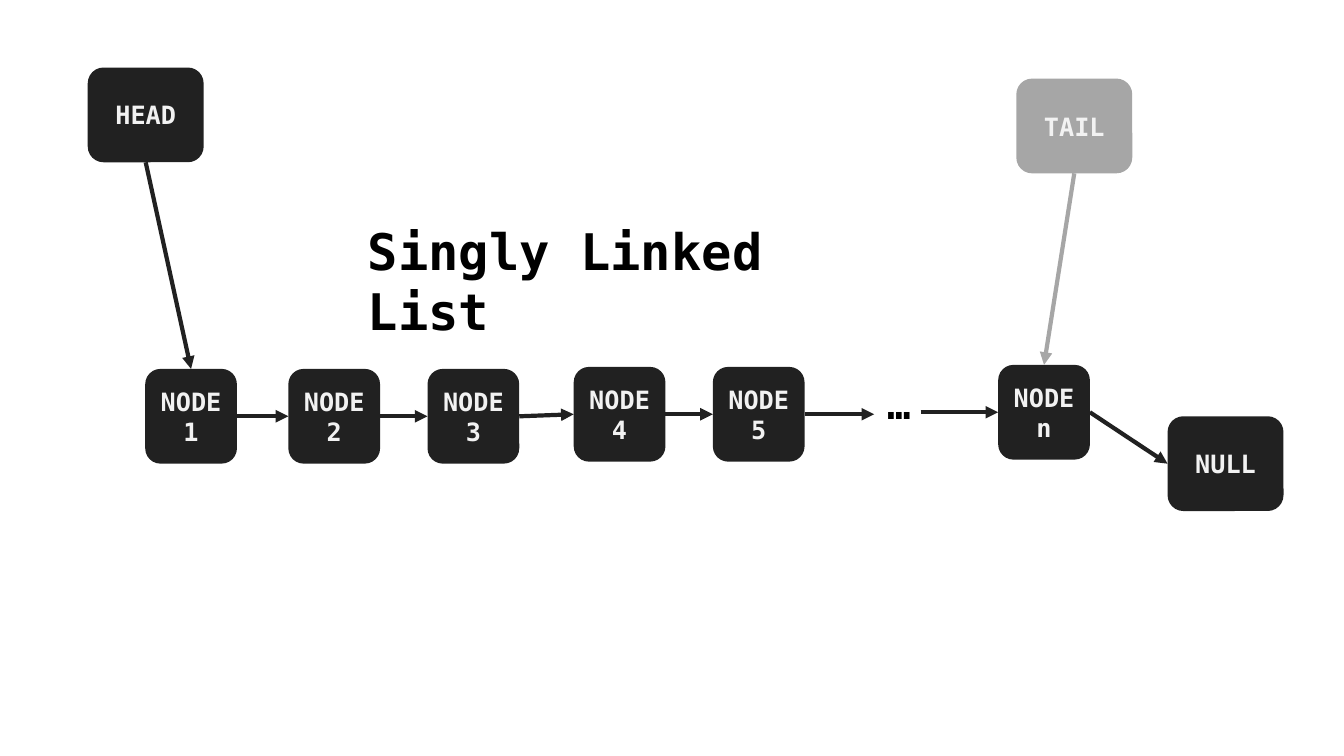
from dataclasses import dataclass

from lxml.etree import SubElement
from pptx import Presentation
from pptx.dml.color import RGBColor
from pptx.enum.shapes import MSO_CONNECTOR, MSO_SHAPE
from pptx.enum.text import MSO_ANCHOR, PP_ALIGN
from pptx.oxml.ns import qn
from pptx.util import Inches, Pt


@dataclass(frozen=True)
class Theme:
    font: str = "DejaVu Sans Mono"
    dark: RGBColor = RGBColor(0x21, 0x21, 0x21)
    muted: RGBColor = RGBColor(0xA6, 0xA6, 0xA6)
    light: RGBColor = RGBColor(0xF2, 0xF2, 0xF2)
    black: RGBColor = RGBColor(0, 0, 0)
    label_size: Pt = Pt(18)
    ellipsis_size: Pt = Pt(28)
    title_size: Pt = Pt(36)
    arrow_width: Pt = Pt(3)


THEME = Theme()
BOX_HEIGHT = 0.94
NODE_WIDTH = 0.91
POINTER_WIDTH = 1.15
TOP, LEFT, BOTTOM, RIGHT = range(4)  # connection sites


def write(frame, text, size, color, align, anchor):
    frame.word_wrap = True
    frame.vertical_anchor = anchor
    paragraph = frame.paragraphs[0]
    paragraph.text = text
    paragraph.alignment = align
    font = paragraph.font
    font.name, font.size, font.bold = THEME.font, size, True
    font.color.rgb = color


def add_box(slide, label, left, top, width, fill=THEME.dark):
    box = slide.shapes.add_shape(
        MSO_SHAPE.ROUNDED_RECTANGLE,
        Inches(left), Inches(top), Inches(width), Inches(BOX_HEIGHT))
    box.shadow.inherit = False
    box.fill.solid()
    box.fill.fore_color.rgb = fill
    box.line.fill.background()
    write(box.text_frame, label, THEME.label_size, THEME.light,
          PP_ALIGN.CENTER, MSO_ANCHOR.MIDDLE)
    return box


def add_label(slide, text, left, top, width, height, size, align, anchor):
    label = slide.shapes.add_textbox(
        Inches(left), Inches(top), Inches(width), Inches(height))
    write(label.text_frame, text, size, THEME.black, align, anchor)
    return label


def add_arrow(slide, start=(0, 0), end=(0, 0), source=None, target=None,
              color=THEME.dark):
    """Source and target are (box, site) pairs that replace the plain points."""
    arrow = slide.shapes.add_connector(
        MSO_CONNECTOR.STRAIGHT, *(Inches(value) for value in (*start, *end)))
    if source:
        arrow.begin_connect(*source)
    if target:
        arrow.end_connect(*target)
    arrow.line.color.rgb = color
    arrow.line.width = THEME.arrow_width
    SubElement(arrow.line._get_or_add_ln(), qn("a:tailEnd"), type="triangle")
    SubElement(arrow._element.spPr, qn("a:effectLst"))


def main():
    deck = Presentation()
    deck.slide_width, deck.slide_height = Inches(13.33), Inches(7.5)
    slide = deck.slides.add_slide(deck.slide_layouts[6])

    # Title
    add_label(slide, "Singly Linked List", 3.55, 2.13, 5.19, 0.71,
              THEME.title_size, PP_ALIGN.LEFT, MSO_ANCHOR.TOP)

    # Nodes and pointers
    node_places = [(1.44, 3.66), (2.86, 3.66), (4.24, 3.66),
                   (5.69, 3.64), (7.07, 3.64)]
    nodes = [add_box(slide, f"NODE {number}", left, top, NODE_WIDTH)
             for number, (left, top) in enumerate(node_places, start=1)]
    last_node = add_box(slide, "NODE n", 9.9, 3.62, NODE_WIDTH)
    head = add_box(slide, "HEAD", 0.87, 0.67, POINTER_WIDTH)
    tail = add_box(slide, "TAIL", 10.08, 0.78, POINTER_WIDTH, THEME.muted)
    null = add_box(slide, "NULL", 11.58, 4.13, POINTER_WIDTH)

    # Links between neighbours
    for node, following in zip(nodes, nodes[1:]):
        add_arrow(slide, source=(node, RIGHT), target=(following, LEFT))
    add_arrow(slide, source=(last_node, RIGHT), target=(null, LEFT))

    # Head and tail references
    add_arrow(slide, source=(head, BOTTOM), target=(nodes[0], TOP))
    add_arrow(slide, source=(tail, BOTTOM), target=(last_node, TOP),
              color=THEME.muted)

    # Skipped nodes
    add_arrow(slide, end=(8.67, 4.11), source=(nodes[-1], RIGHT))
    ellipsis = add_label(slide, "…", 8.7, 3.72, 0.42, 0.57,
                         THEME.ellipsis_size, PP_ALIGN.CENTER, MSO_ANCHOR.MIDDLE)
    ellipsis.text_frame.word_wrap = False
    add_arrow(slide, start=(9.13, 4.09), target=(last_node, LEFT))

    deck.save("out.pptx")


if __name__ == "__main__":
    main()
